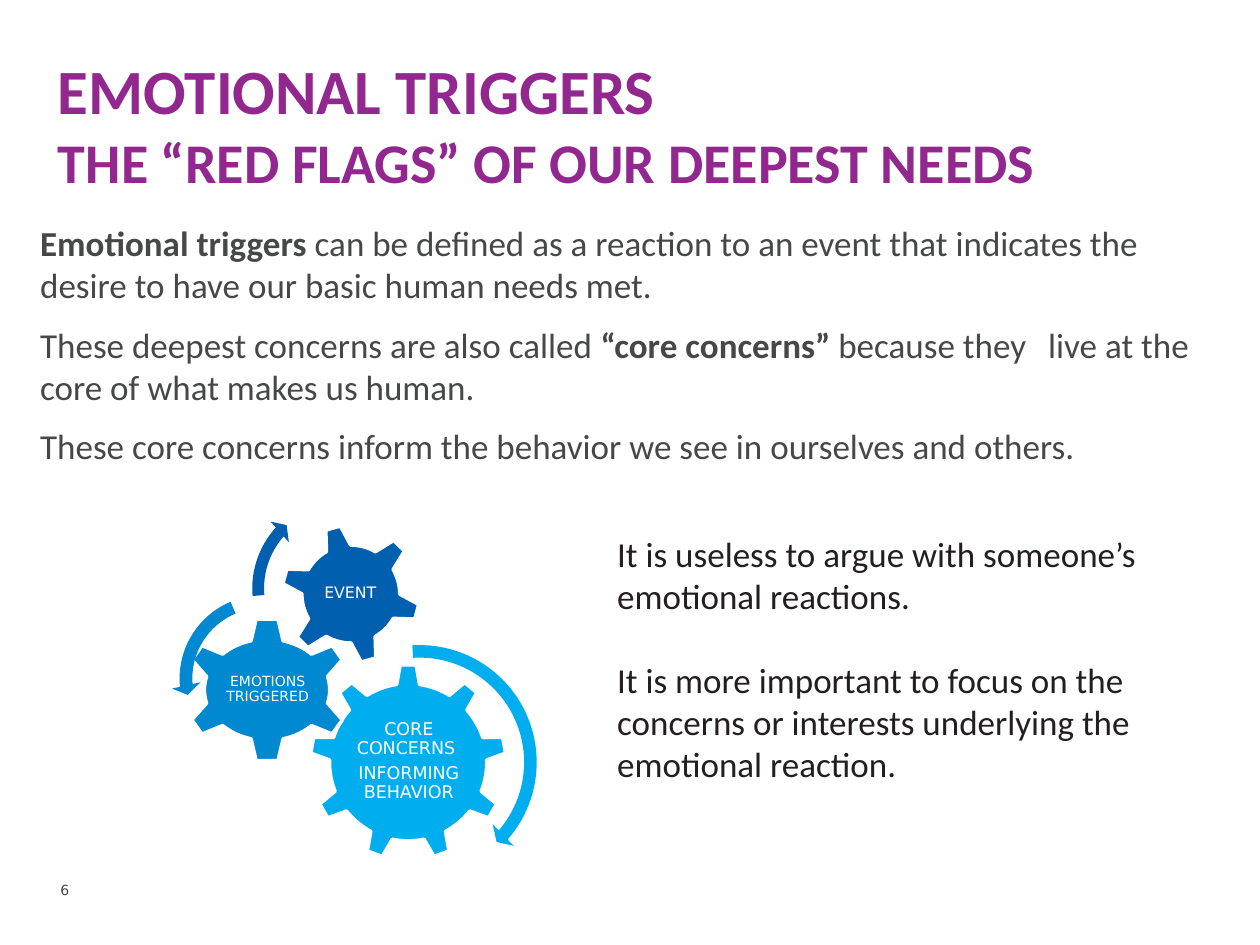
import pptx
import pptx.dml.color
import pptx.enum.shapes
import pptx.enum.text
import pptx.util

Inches = pptx.util.Inches
SHAPE = pptx.enum.shapes.MSO_SHAPE
ALIGN = pptx.enum.text.PP_ALIGN
ANCHOR = pptx.enum.text.MSO_ANCHOR

THEME = {
    "purple": "92278F", "gray": "464847", "black": "231F20", "white": "FFFFFF",
    "light": "00AEEF", "middle": "0089D0", "dark": "0060AF",
    "text_font": "Calibri", "label_font": "DejaVu Sans",
    "title": 36, "subtitle": 32, "body": 20, "number": 8,
}


def rgb(name):
    return pptx.dml.color.RGBColor.from_string(THEME[name])


def write_text(box, place, paragraphs, *, size, color, font="text_font", bold=False,
               align=ALIGN.LEFT, anchor=ANCHOR.TOP, inset=None, before=0, after=0,
               spacing=1.0):
    """Place a box and fill it; each paragraph is a list of (text, changes)."""
    box.left, box.top, box.width, box.height = [Inches(value) for value in place]
    frame = box.text_frame
    frame.word_wrap = True
    frame.auto_size = pptx.enum.text.MSO_AUTO_SIZE.NONE
    frame.vertical_anchor = anchor
    if inset is not None:
        frame.margin_left = frame.margin_right = Inches(inset)
        frame.margin_top = frame.margin_bottom = Inches(inset)
    for index, spans in enumerate(paragraphs):
        para = frame.add_paragraph() if index else frame.paragraphs[0]
        para.alignment = align
        para.line_spacing = spacing
        para.space_before = pptx.util.Pt(before if index else 0)
        para.space_after = pptx.util.Pt(after)
        for text, changes in spans:
            if text == "\n":
                para.add_line_break()
                continue
            span = para.add_run()
            span.text = text
            span.font.name = THEME[font]
            span.font.size = pptx.util.Pt(changes.get("size", size))
            span.font.bold = changes.get("bold", bold)
            span.font.color.rgb = rgb(color)


def add_part(kind, place, color):
    part = page.shapes.add_shape(kind, *[Inches(value) for value in place])
    part.shadow.inherit = False
    part.fill.solid()
    part.fill.fore_color.rgb = rgb(color)
    part.line.fill.background()
    return part


deck = pptx.Presentation()
deck.slide_width, deck.slide_height = Inches(10), Inches(7.5)
page = deck.slides.add_slide(deck.slide_layouts[5])

# Title
write_text(page.shapes.title, (0.36, 0.36, 9.16, 1.06),
           [[("EMOTIONAL TRIGGERS", {}), ("\n", {}),
             ("THE “RED FLAGS” OF OUR DEEPEST NEEDS", {"size": THEME["subtitle"]})]],
           size=THEME["title"], color="purple", bold=True)

# Definition, advice and page number: place, paragraphs, format
strong = {"bold": True}
texts = [
    ((0.22, 1.71, 9.45, 5.23),
     [[("Emotional triggers ", strong),
       ("can be defined as a reaction to an event that indicates the desire to have "
        "our basic human needs met.", {})],
      [("These deepest concerns are also called ", {}), ("“core concerns” ", strong),
       ("because they \tlive at the core of what makes us human.", {})],
      [("These core concerns inform the behavior we see in ourselves and others.", {})]],
     {"size": THEME["body"], "color": "gray", "before": 10}),
    ((4.8, 4.18, 4.53, 2.12),
     [[("It is useless to argue with someone’s emotional reactions.", {})],
      [("It is more important to focus on the concerns or interests underlying the "
        "emotional reaction.", {})]],
     {"size": THEME["body"], "color": "black", "before": 24}),
    ((0.38, 6.95, 0.45, 0.24), [[("6", {})]],
     {"size": THEME["number"], "color": "gray", "font": "label_font"}),
]
for place, paragraphs, style in texts:
    write_text(page.shapes.add_textbox(0, 0, 0, 0), place, paragraphs, **style)

# Gears with labels: shape, place, rotation, color, label place, label size, lines
gears = [
    (SHAPE.GEAR_9, (2.46, 5.27, 1.56, 1.56), 0, "light",
     (2.78, 5.64, 0.93, 0.8), 10, ["CORE CONCERNS ", "INFORMING BEHAVIOR"]),
    (SHAPE.GEAR_6, (1.45, 4.9, 1.34, 1.15), 0, "middle",
     (1.77, 5.19, 0.71, 0.57), 8, ["EMOTIONS TRIGGERED"]),
    (SHAPE.GEAR_6, (2.23, 4.16, 1.11, 1.11), 345, "dark",
     (2.47, 4.4, 0.62, 0.62), 9, ["EVENT"]),
]
for kind, place, rotation, color, label_place, size, lines in gears:
    gear = add_part(kind, place, color)
    gear.rotation = rotation
    gear.line.color.rgb = rgb("white")
    gear.line.width = pptx.util.Pt(2)
    write_text(page.shapes.add_textbox(0, 0, 0, 0), label_place,
               [[(line, {})] for line in lines], size=size, color="white",
               font="label_font", align=ALIGN.CENTER, anchor=ANCHOR.MIDDLE,
               inset=0.01, after=0.35 * size, spacing=0.9)

# Arrows around the gears: shape, place, color, adjustments
arrows = [
    (SHAPE.CIRCULAR_ARROW, (2.33, 5.05, 2, 2), "light",
     (0.05, 2.99, 24.6, 159.89, 0.06)),
    (SHAPE.LEFT_CIRCULAR_ARROW, (1.36, 4.66, 1.45, 1.45), "middle",
     (0.07, 4.3, 104.89, 148.38, 0.08)),
    (SHAPE.CIRCULAR_ARROW, (1.94, 3.89, 1.56, 1.56), "dark",
     (0.06, 3.94, 133.14, 105.08, 0.07)),
]
for kind, place, color, adjustments in arrows:
    arrow = add_part(kind, place, color)
    for index, value in enumerate(adjustments):
        arrow.adjustments[index] = value

deck.save("out.pptx")
